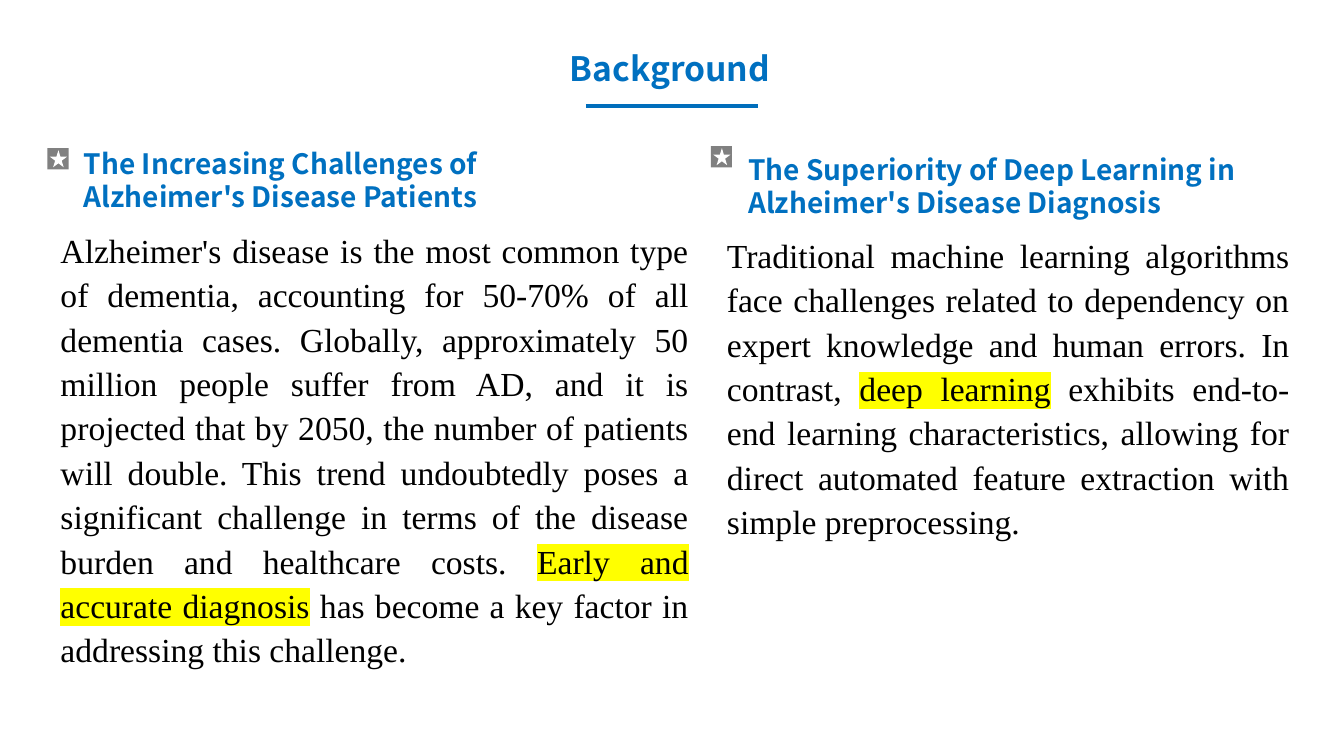
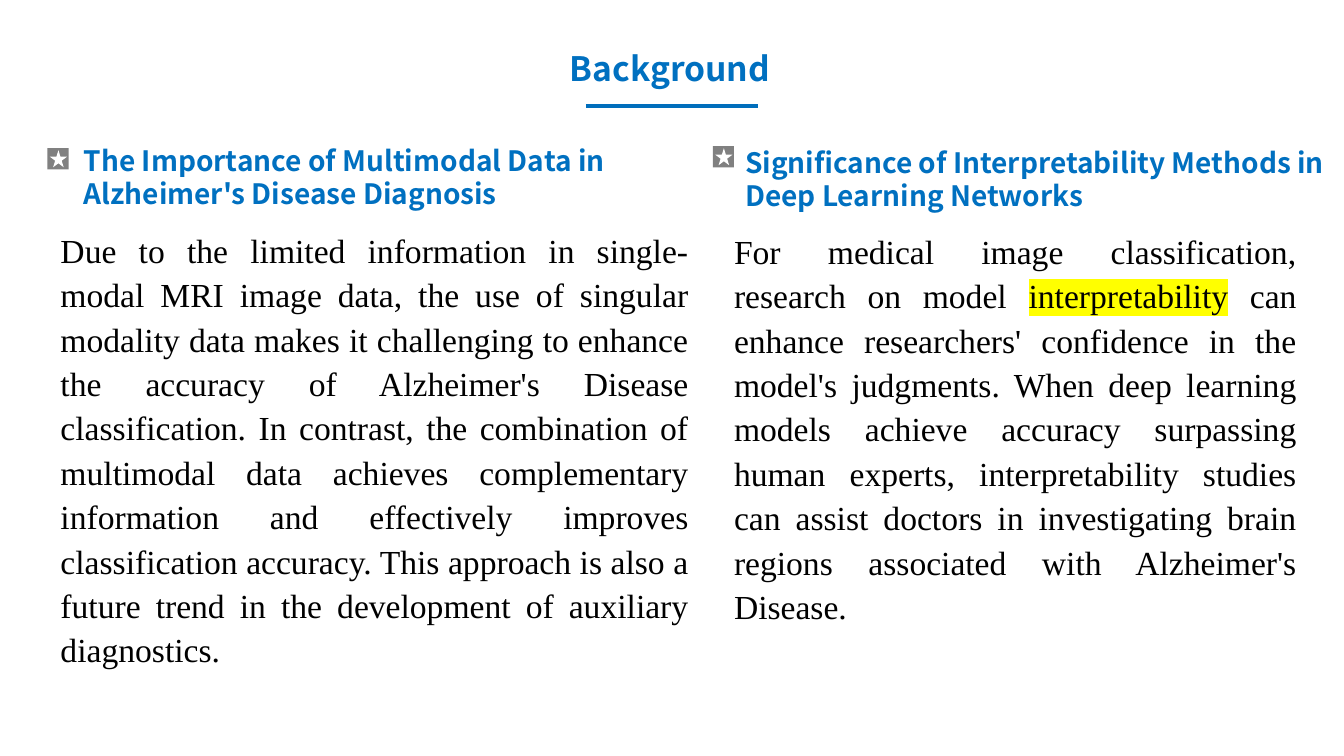
from dataclasses import dataclass

from lxml.etree import SubElement as Sub
from pptx import Presentation
from pptx.dml.color import RGBColor as Rgb
from pptx.enum.shapes import MSO_CONNECTOR as Link, MSO_SHAPE as Form
from pptx.enum.text import MSO_ANCHOR as Anchor, MSO_AUTO_SIZE as Fit, PP_ALIGN as Align
from pptx.oxml.ns import qn
from pptx.util import Emu, Inches, Pt

HUES = {"blue": "0070C0", "rule": "006EBC", "gray": "808080",
        "white": "FFFFFF", "black": "000000", "mark": "FFFF00"}
SANS, SERIF = "Noto Sans CJK SC", "Times New Roman"
CELL = Inches(0.1)
LEAD = 1.2


@dataclass(frozen=True)
class Box:
    col: float
    row: float
    cols: float
    rows: float


@dataclass(frozen=True)
class Topic:
    head: str
    text: str
    icon: tuple[float, float]
    top: Box
    body: Box


def grid(count: float) -> Emu:
    return Emu(round(count * CELL))


def hue(name: str) -> Rgb:
    return Rgb.from_string(HUES[name])


def place(item, box: Box) -> None:
    item.left, item.top = grid(box.col), grid(box.row)
    item.width, item.height = grid(box.cols), grid(box.rows)


def write(item, box: Box, text: str, *, size: float, font: str, color: str,
          bold: bool = False, align=Align.LEFT, lines: float = 1) -> None:
    place(item, box)
    frame = item.text_frame
    frame.word_wrap, frame.auto_size = True, Fit.NONE
    frame.vertical_anchor = Anchor.TOP
    frame.margin_left = frame.margin_right = Inches(0.1)
    frame.margin_top = frame.margin_bottom = Inches(0.05)
    for row, line in enumerate(text.split("\n")):
        para = frame.add_paragraph() if row else frame.paragraphs[0]
        props = para._p.get_or_add_pPr()
        props.set("marL", "0")
        props.set("indent", "0")
        Sub(props, qn("a:buNone"))
        para.alignment = align
        para.line_spacing = Pt(size * LEAD * lines)
        para.space_before = para.space_after = Pt(0)
        for part, words in enumerate(line.split("*")):
            run = para.add_run()
            run.text = words
            run.font.size, run.font.bold = Pt(size), bold
            run.font.color.rgb = hue(color)
            run.font.name = font
            if part % 2:
                mark = Sub(run._r.rPr, qn("a:highlight"))
                Sub(mark, qn("a:srgbClr"), val=HUES["mark"])
                run._r.rPr.find(qn("a:latin")).addprevious(mark)


def shape(slide, form, box: Box, color: str) -> None:
    item = slide.shapes.add_shape(form, 0, 0, 0, 0)
    place(item, box)
    item.shadow.inherit = False
    item.fill.solid()
    item.fill.fore_color.rgb = hue(color)
    item.line.fill.background()


def rule(slide, left: float, right: float, row: float) -> None:
    line = slide.shapes.add_connector(
        Link.STRAIGHT, grid(left), grid(row), grid(right), grid(row))
    line.line.color.rgb, line.line.width = hue("rule"), Pt(3)
    Sub(line._element.spPr, qn("a:effectLst"))


def draw(deck, topics: tuple[Topic, ...]) -> None:
    slide = deck.slides.add_slide(deck.slide_layouts[4])
    title, *slots = slide.placeholders
    write(title, Box(35.6, 4.3, 61.7, 4), "Background", size=24, font=SANS,
          color="blue", bold=True, align=Align.CENTER)
    rule(slide, 58.1, 75.2, 10.5)
    for topic, head, body in zip(topics, slots[::2], slots[1::2]):
        write(head, topic.top, topic.head, size=20, font=SANS,
              color="blue", bold=True)
        col, row = topic.icon
        shape(slide, Form.RECTANGLE, Box(col, row, 2.1, 2.1), "gray")
        shape(slide, Form.STAR_5_POINT, Box(col + 0.25, row + 0.2, 1.7, 1.7), "white")
        write(body, topic.body, topic.text, size=24, font=SERIF,
              color="black", align=Align.JUSTIFY, lines=1.1)


PAGES = (
    (
        Topic(
            "The Increasing Challenges of\nAlzheimer's Disease Patients",
            "Alzheimer's disease is the most common type of dementia, accounting "
            "for 50-70% of all dementia cases. Globally, approximately 50 million "
            "people suffer from AD, and it is projected that by 2050, the number "
            "of patients will double. This trend undoubtedly poses a significant "
            "challenge in terms of the disease burden and healthcare costs. "
            "*Early and accurate diagnosis* has become a key factor in addressing "
            "this challenge.",
            (4.7, 14.7), Box(7.3, 14, 54, 6.9), Box(5, 21.9, 64.3, 46)),
        Topic(
            "The Superiority of Deep Learning in Alzheimer's Disease Diagnosis",
            "Traditional machine learning algorithms face challenges related to "
            "dependency on expert knowledge and human errors. In contrast, "
            "*deep learning* exhibits end-to-end learning characteristics, "
            "allowing for direct automated feature extraction with simple "
            "preprocessing.",
            (70.5, 14.5), Box(73.2, 14.6, 55.4, 7.7), Box(71.1, 22.4, 57.8, 32.1)),
    ),
    (
        Topic(
            "The Importance of Multimodal Data in\nAlzheimer's Disease Diagnosis",
            "Due to the limited information in single-modal MRI image data, the "
            "use of singular modality data makes it challenging to enhance the "
            "accuracy of Alzheimer's Disease classification. In contrast, the "
            "combination of multimodal data achieves complementary information "
            "and effectively improves classification accuracy. This approach is "
            "also a future trend in the development of auxiliary diagnostics.",
            (4.7, 14.7), Box(7.3, 13.7, 62, 6.9), Box(5, 21.9, 64.3, 49)),
        Topic(
            "Significance of Interpretability Methods in Deep Learning Networks",
            "For medical image classification, research on model "
            "*interpretability* can enhance researchers' confidence in the "
            "model's judgments. When deep learning models achieve accuracy "
            "surpassing human experts, interpretability studies can assist "
            "doctors in investigating brain regions associated with Alzheimer's "
            "Disease.",
            (70.7, 14.5), Box(72.9, 13.9, 60.4, 7.7), Box(71.8, 22, 57.8, 40.9)),
    ),
)


def main() -> None:
    deck = Presentation()
    deck.slide_width, deck.slide_height = Inches(13.33), Inches(7.5)
    for topics in PAGES:
        draw(deck, topics)
    deck.save("out.pptx")


if __name__ == "__main__":
    main()
